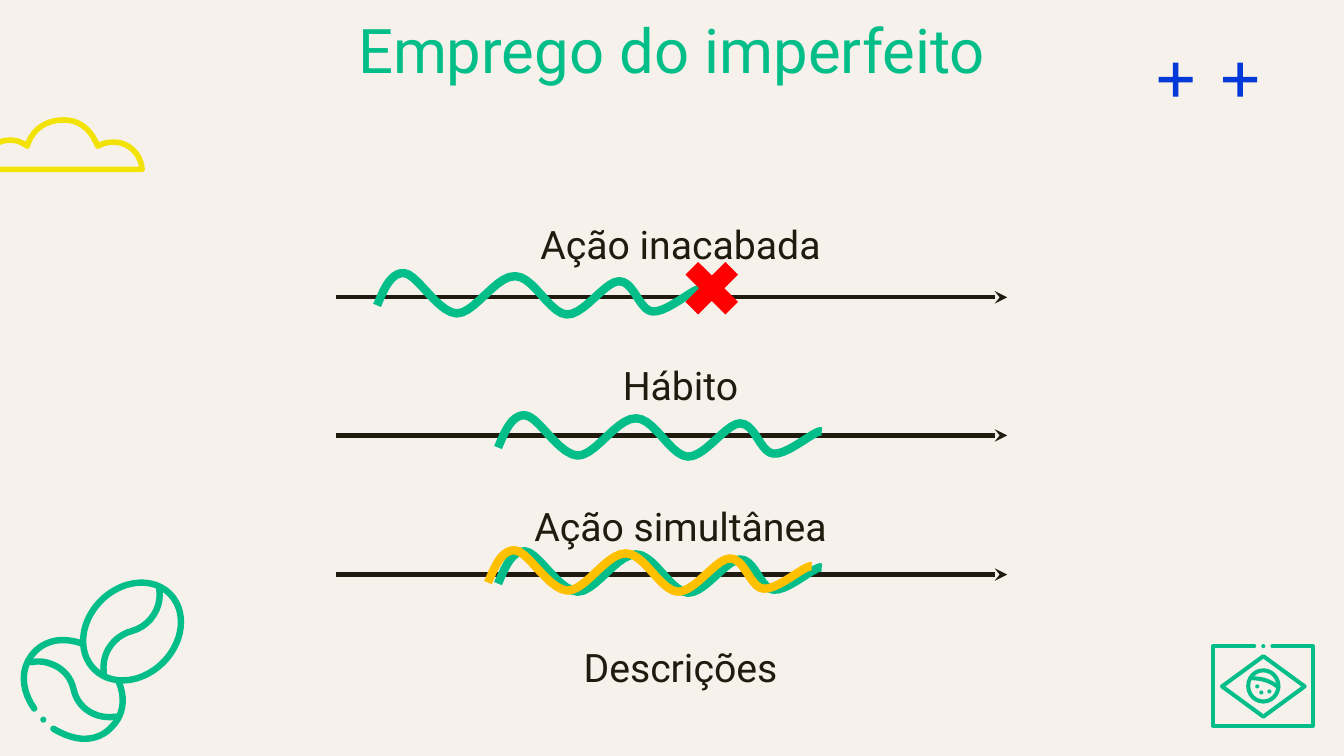
from dataclasses import dataclass

import pptx
import pptx.dml.color
import pptx.enum.shapes
import pptx.enum.text
import pptx.oxml
import pptx.oxml.ns
import pptx.util
from pptx.util import Inches

Color = pptx.dml.color.RGBColor
Kind = pptx.enum.shapes.MSO_SHAPE
Anchor = pptx.enum.text.MSO_ANCHOR


@dataclass(frozen=True)
class Theme:
    paper: Color = Color.from_string("F6F2EB")
    ink: Color = Color.from_string("211A0E")
    green: Color = Color.from_string("03BE88")
    blue: Color = Color.from_string("0439D9")
    yellow: Color = Color.from_string("F2E205")
    gold: Color = Color.from_string("FFC000")
    red: Color = Color.from_string("FF0000")
    font: str = "Roboto"
    head: int = 44
    body: int = 28
    axis: float = 3
    wave: float = 6
    cloud: float = 4
    flag: float = 2.9
    bean: float = 4.6


THEME = Theme()

WAVE = [(0, .32), (.07, .15), (.14, -.01), (.27, 0), (.4, .01), (.6, .39), (.79, .4),
        (.97, .4), (1.18, .02), (1.37, .03), (1.55, .03), (1.71, .4), (1.88, .41),
        (2.05, .42), (2.26, .08), (2.4, .08), (2.55, .08), (2.6, .37), (2.73, .38),
        (2.87, .4), (3.16, .13), (3.21, .16)]
CLOUD = [(-.19, 1.68), (-.17, 1.5), (-.05, 1.39), (.1, 1.39), (.16, 1.39), (.22, 1.41),
         (.27, 1.45), (.32, 1.28), (.46, 1.19), (.63, 1.19), (.79, 1.19), (.9, 1.28),
         (.97, 1.45), (1.02, 1.42), (1.07, 1.41), (1.13, 1.41), (1.28, 1.41),
         (1.4, 1.53), (1.41, 1.68)]
BEANS = [
    [(1.58, 5.84), (1.61, 6.03), (1.49, 6.21), (1.31, 6.26), (1.15, 6.3), (1, 6.46),
     (1.03, 6.68)],
    [(.8, 6.38), (.74, 6.36), (.68, 6.35), (.62, 6.35), (.52, 6.35), (.42, 6.39),
     (.35, 6.46), (.2, 6.61), (.2, 6.83), (.34, 7.03)],
    [(.53, 7.23), (.63, 7.29), (.74, 7.33), (.84, 7.33), (.94, 7.33), (1.04, 7.29),
     (1.11, 7.21), (1.22, 7.1), (1.25, 6.94), (1.18, 6.77)],
    [(.31, 6.57), (.4, 6.55), (.48, 6.57), (.56, 6.61), (.65, 6.66), (.71, 6.74),
     (.73, 6.84), (.77, 7.02), (.94, 7.14), (1.15, 7.11)],
]
FRAME = [(12.44, 6.41), (12.03, 6.41), (12.03, 7.2), (13.02, 7.2), (13.02, 6.41),
         (12.62, 6.41)]
BAND = [(12.43, 6.73), (12.52, 6.73), (12.61, 6.76), (12.68, 6.82)]
STARS = [(12.47, 6.81), (12.51, 6.87), (12.59, 6.86), (12.53, 6.41)]


def bend(knots, steps=10):
    points = [knots[0]]
    for i in range(0, len(knots) - 1, 3):
        part = knots[i:i + 4]
        for n in range(1, steps + 1):
            t = n / steps
            mix = ((1 - t) ** 3, 3 * t * (1 - t) ** 2, 3 * t * t * (1 - t), t ** 3)
            points.append(tuple(sum(m * p[axis] for m, p in zip(mix, part))
                                for axis in (0, 1)))
    return points


def style(shape, fill=None, line=None, width=1):
    shape.shadow.inherit = False
    if fill is None:
        shape.fill.background()
    else:
        shape.fill.solid()
        shape.fill.fore_color.rgb = fill
    if line is None:
        shape.line.fill.background()
    else:
        shape.line.color.rgb = line
        shape.line.width = pptx.util.Pt(width)


def stroke(slide, points, line, width, close=False, cap="rnd"):
    spots = [(Inches(x), Inches(y)) for x, y in points]
    pen = slide.shapes.build_freeform(*spots[0], scale=1.0)
    pen.add_line_segments(spots[1:], close=close)
    shape = pen.convert_to_shape()
    style(shape, line=line, width=width)
    shape.line._get_or_add_ln().set("cap", cap)


def form(slide, kind, x, y, w, h, turn=0, adjust=None, **look):
    shape = slide.shapes.add_shape(kind, Inches(x), Inches(y), Inches(w), Inches(h))
    shape.rotation = turn
    if adjust is not None:
        shape.adjustments[0] = adjust
    style(shape, **look)


def dot(slide, x, y, size):
    form(slide, Kind.OVAL, x - size / 2, y - size / 2, size, size, fill=THEME.green)


def write(slide, text, x, y, w, h, size, color, space, anchor=Anchor.TOP, indent=0):
    frame = slide.shapes.add_textbox(Inches(x), Inches(y), Inches(w), Inches(h)).text_frame
    frame.word_wrap = True
    frame.vertical_anchor = anchor
    frame.margin_left = frame.margin_right = Inches(.1)
    frame.margin_top = frame.margin_bottom = Inches(.1)
    frame.text = text
    for para in frame.paragraphs:
        para.alignment = pptx.enum.text.PP_ALIGN.CENTER
        para.line_spacing = space
        para._p.get_or_add_pPr().set("marL", str(Inches(indent)))
        font = para.runs[0].font
        font.name, font.size, font.color.rgb = THEME.font, pptx.util.Pt(size), color


def arrow(slide, x, y, end):
    line = slide.shapes.add_connector(pptx.enum.shapes.MSO_CONNECTOR.STRAIGHT,
                                      Inches(x), Inches(y), Inches(end), Inches(y))
    line.line.color.rgb = THEME.ink
    line.line.width = pptx.util.Pt(THEME.axis)
    tail = pptx.oxml.parse_xml(
        f'<a:tailEnd {pptx.oxml.ns.nsdecls("a")} type="stealth"/>')
    line.line._get_or_add_ln().append(tail)
    line._element.spPr.append(
        pptx.oxml.parse_xml(f'<a:effectLst {pptx.oxml.ns.nsdecls("a")}/>'))


def wave(slide, x, y, color):
    points = [(x + dx, y + dy) for dx, dy in bend(WAVE)]
    stroke(slide, points, color, THEME.wave, cap="flat")


def flag(slide):
    pen = dict(line=THEME.green, width=THEME.flag)
    stroke(slide, FRAME, **pen)
    form(slide, Kind.DIAMOND, 12.12, 6.51, .82, .6, **pen)
    form(slide, Kind.OVAL, 12.38, 6.65, .3, .31, **pen)
    stroke(slide, bend(BAND), **pen)
    for x, y in STARS:
        dot(slide, x, y, .04)


def beans(slide):
    pen = dict(line=THEME.green, width=THEME.bean)
    form(slide, Kind.OVAL, .78, 5.83, 1.06, .87, turn=-45, **pen)
    for curve in BEANS:
        stroke(slide, bend(curve), **pen)
    dot(slide, .43, 7.14, .06)


def main():
    deck = pptx.Presentation()
    deck.slide_width, deck.slide_height = Inches(13.33), Inches(7.5)
    slide = deck.slides.add_slide(deck.slide_layouts[6])
    slide.background.fill.solid()
    slide.background.fill.fore_color.rgb = THEME.paper

    for x in (11.43, 12.07):
        form(slide, Kind.MATH_PLUS, x, .56, .46, .46, turn=270, adjust=.118,
             fill=THEME.blue)
    stroke(slide, bend(CLOUD), THEME.yellow, THEME.cloud, close=True)
    flag(slide)
    beans(slide)

    uses = ["Ação inacabada", "Hábito", "Ação simultânea", "Descrições"]
    write(slide, "\n".join(uses), 1.06, 1.15, 11.23, 4.37, size=THEME.body,
          color=THEME.ink, space=3.0, indent=.15)
    write(slide, "Emprego do imperfeito", 1.04, .08, 11.25, .91, size=THEME.head,
          color=THEME.green, space=.9, anchor=Anchor.MIDDLE)

    for y in (2.95, 4.32, 5.7):
        arrow(slide, 3.33, y, 9.99)
    wave(slide, 3.74, 2.71, THEME.green)
    form(slide, Kind.MATH_MULTIPLY, 6.68, 2.48, .76, .76, adjust=.235, fill=THEME.red)
    wave(slide, 4.94, 4.12, THEME.green)
    wave(slide, 4.94, 5.47, THEME.green)
    wave(slide, 4.84, 5.46, THEME.gold)
    deck.save("out.pptx")


if __name__ == "__main__":
    main()
